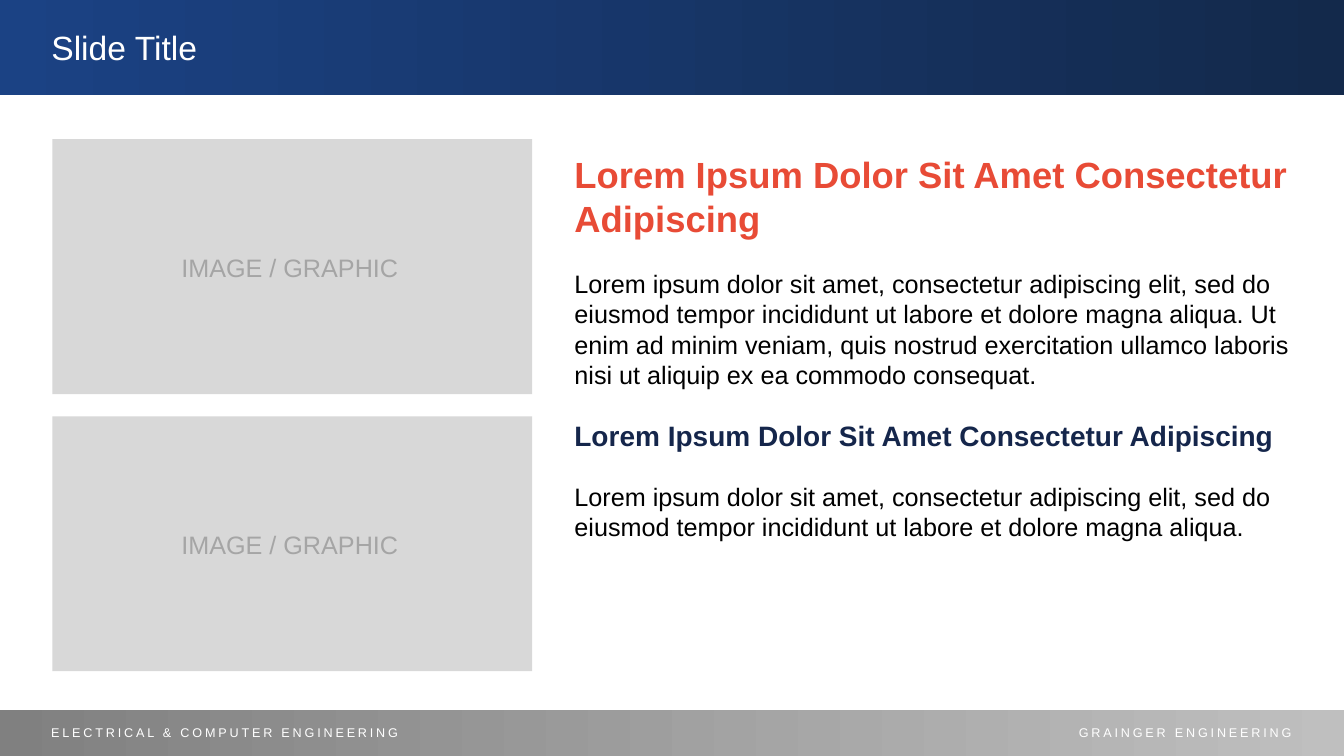
import pptx
import pptx.util
import pptx.dml.color
import pptx.enum.shapes
import pptx.enum.text

Pt = pptx.util.Pt
RGBColor = pptx.dml.color.RGBColor
Align = pptx.enum.text.PP_ALIGN

WHITE = RGBColor(0xFF, 0xFF, 0xFF)
BLACK = RGBColor(0, 0, 0)
BLUE = RGBColor(0x1B, 0x42, 0x84)
NAVY = RGBColor(0x13, 0x29, 0x4B)
INK = RGBColor(0x15, 0x26, 0x4B)
ORANGE = RGBColor(0xE8, 0x4B, 0x36)
DARK = RGBColor(0x80, 0x80, 0x80)
LIGHT = RGBColor(0xBF, 0xBF, 0xBF)
PANEL = RGBColor(0xD8, 0xD8, 0xD8)
LABEL = RGBColor(0xA5, 0xA5, 0xA5)

HEAD = "Lorem Ipsum Dolor Sit Amet Consectetur Adipiscing"
LEAD = ("Lorem ipsum dolor sit amet, consectetur adipiscing elit, sed do "
        "eiusmod tempor incididunt ut labore et dolore magna aliqua.")
MORE = (" Ut enim ad minim veniam, quis nostrud exercitation ullamco laboris "
        "nisi ut aliquip ex ea commodo consequat.")
BODY = [
    (HEAD, 26, ORANGE, True),
    (LEAD + MORE, 18, BLACK, False),
    (HEAD, 20, INK, True),
    (LEAD, 18, BLACK, False),
]
GAP = 20.7


def add_rect(slide, left, top, width, height):
    rect = slide.shapes.add_shape(
        pptx.enum.shapes.MSO_SHAPE.RECTANGLE,
        Pt(left), Pt(top), Pt(width), Pt(height))
    rect.shadow.inherit = False
    rect.line.fill.background()
    return rect


def add_panel(slide, top):
    rect = add_rect(slide, 37.44, top, 342.72, 182.16)
    rect.fill.solid()
    rect.fill.fore_color.rgb = PANEL
    add_text(slide, 117.36, top + 77, 179.28, 28.8,
             [("IMAGE / GRAPHIC", 18, LABEL, False)], Align.CENTER)


def add_band(slide, top, height, start, end):
    band = add_rect(slide, 0, top, 960, height)
    band.fill.gradient()
    band.fill.gradient_angle = 0
    for stop, spot, color in zip(band.fill.gradient_stops, (0, 1), (start, end)):
        stop.position = spot
        stop.color.rgb = color


def fill_text(frame, lines, align, track=0):
    frame.word_wrap = True
    frame.auto_size = pptx.enum.text.MSO_AUTO_SIZE.NONE
    frame.vertical_anchor = pptx.enum.text.MSO_ANCHOR.TOP
    for index, (words, size, color, bold) in enumerate(lines):
        para = frame.add_paragraph() if index else frame.paragraphs[0]
        para.alignment = align
        if index:
            para.space_before = Pt(GAP)
        run = para.add_run()
        run.text = words
        run.font.name = "Arial"
        run.font.size = Pt(size)
        run.font.bold = bold
        run.font.color.rgb = color
        if track:
            run.font._element.set("spc", str(track * 100))


def add_text(slide, left, top, width, height, lines, align=Align.LEFT, track=0):
    box = slide.shapes.add_textbox(Pt(left), Pt(top), Pt(width), Pt(height))
    fill_text(box.text_frame, lines, align, track)


def set_title(slide, words):
    title = slide.shapes.title
    title.left, title.top = Pt(29.52), Pt(15.84)
    title.width, title.height = Pt(858.96), Pt(36)
    fill_text(title.text_frame, [(words, 24, WHITE, False)], Align.LEFT)
    slide.shapes._spTree.append(title._element)


def add_foot(slide, left, width, words, align):
    add_text(slide, left, 514.08, width, 18,
             [(words, 9, WHITE, False)], align, track=2)


def main():
    deck = pptx.Presentation()
    deck.slide_width, deck.slide_height = Pt(960), Pt(540)
    slide = deck.slides.add_slide(deck.slide_layouts[5])
    for row in range(2):
        add_panel(slide, 99.36 + 198 * row)
    add_text(slide, 403.2, 105.12, 526.32, 379.44, BODY)
    add_band(slide, 506.88, 33.12, DARK, LIGHT)
    add_foot(slide, 735.12, 194.4, "GRAINGER ENGINEERING", Align.RIGHT)
    add_band(slide, 0, 67.68, BLUE, NAVY)
    set_title(slide, "Slide Title")
    add_foot(slide, 29.52, 629.28, "ELECTRICAL & COMPUTER ENGINEERING", Align.LEFT)
    deck.save("out.pptx")


if __name__ == "__main__":
    main()
